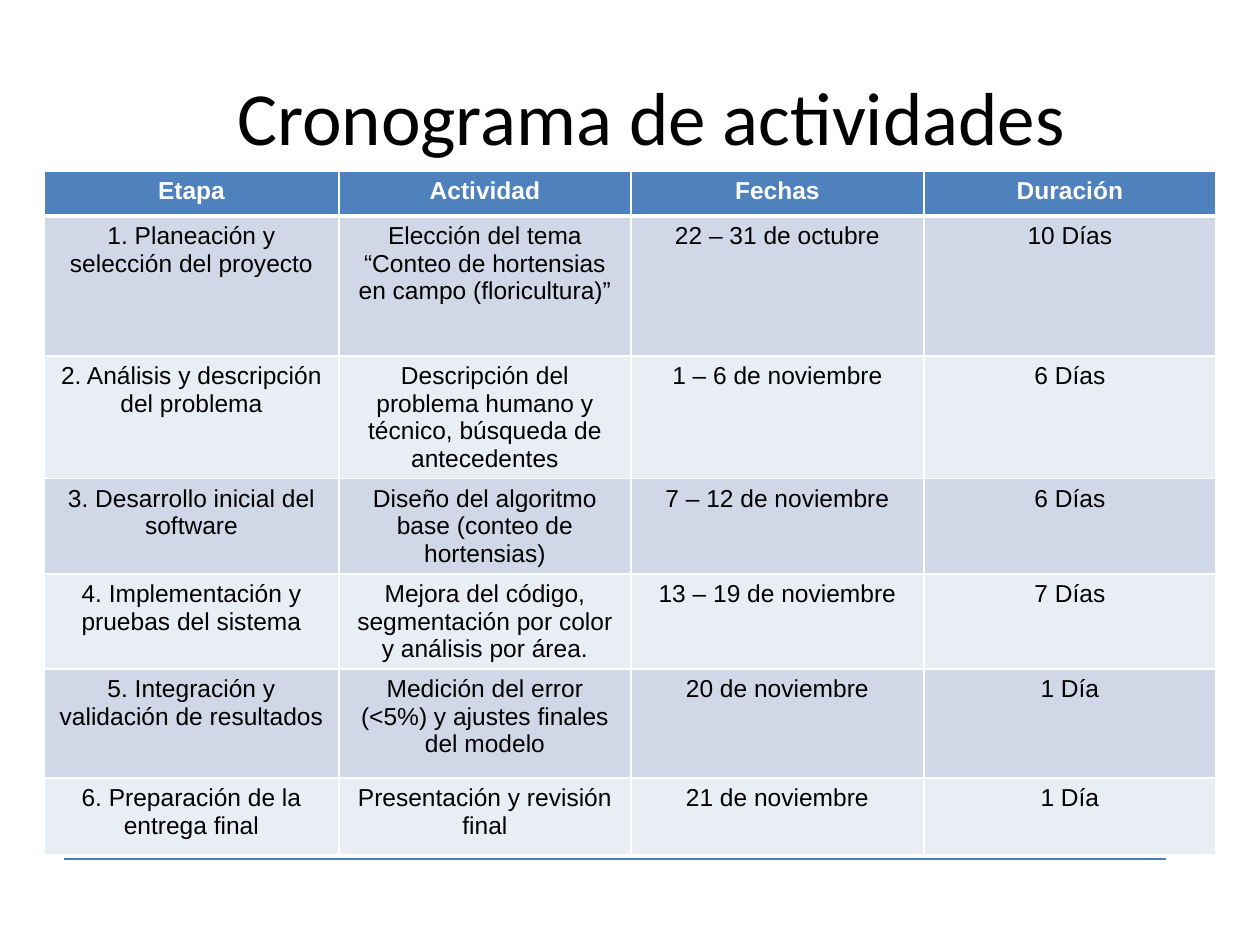
from lxml.etree import SubElement
from pptx import Presentation
from pptx.dml.color import RGBColor
from pptx.enum.shapes import MSO_CONNECTOR as Connector
from pptx.enum.text import MSO_ANCHOR as Anchor, PP_ALIGN as Align
from pptx.oxml.ns import qn
from pptx.util import Pt

EMU_PER_PX = 914400 / 126
ACTIVITIES = [
    ("Etapa", "Actividad", "Fechas", "Duración"),
    ("1. Planeación y selección del proyecto",
     "Elección del tema “Conteo de hortensias en campo (floricultura)”",
     "22 – 31 de octubre", "10 Días"),
    ("2. Análisis y descripción del problema",
     "Descripción del problema humano y técnico, búsqueda de antecedentes",
     "1 – 6 de noviembre", "6 Días"),
    ("3. Desarrollo inicial del software",
     "Diseño del algoritmo base (conteo de hortensias)",
     "7 – 12 de noviembre", "6 Días"),
    ("4. Implementación y pruebas del sistema",
     "Mejora del código, segmentación por color y análisis por área.",
     "13 – 19 de noviembre", "7 Días"),
    ("5. Integración y validación de resultados",
     "Medición del error (<5%) y ajustes finales del modelo",
     "20 de noviembre", "1 Día"),
    ("6. Preparación de la entrega final",
     "Presentación y revisión final",
     "21 de noviembre", "1 Día"),
]
COLUMN_WIDTHS = [295, 292, 293, 292]
ROW_HEIGHTS = [45, 140, 122, 95, 95, 109, 77]


def px(length):
    return round(length * EMU_PER_PX)


def color(value):
    return RGBColor.from_string(value)


class ScheduleSlide:
    HEADER = "4F81BD"
    BANDS = ("E9EDF4", "D0D8E8")
    WHITE = "FFFFFF"
    BLACK = "000000"
    RULE = "4A7DBA"

    def __init__(self, deck):
        self.slide = deck.slides.add_slide(deck.slide_layouts[5])

    def label(self, frame, text, font_name, size, ink, bold=False):
        frame.text = text
        paragraph = frame.paragraphs[0]
        paragraph.alignment = Align.CENTER
        font = paragraph.runs[0].font
        font.name, font.size, font.bold = font_name, Pt(size), bold
        font.color.rgb = color(ink)

    def title(self, text, left, top, width, height):
        heading = self.slide.shapes.title
        heading.left, heading.top = px(left), px(top)
        heading.width, heading.height = px(width), px(height)
        heading.text_frame.vertical_anchor = Anchor.MIDDLE
        self.label(heading.text_frame, text, "Calibri", 42.9, self.BLACK)

    def rule(self, left, right, y):
        divider = self.slide.shapes.add_connector(
            Connector.STRAIGHT, px(left), px(y), px(right), px(y))
        divider.line.color.rgb = color(self.RULE)
        divider.line.width = Pt(0.75)
        SubElement(divider.element.spPr, qn("a:effectLst"))

    def borders(self, cell, top, bottom):
        properties = cell._tc.get_or_add_tcPr()
        for side, weight in (("L", 1), ("R", 1), ("T", top), ("B", bottom)):
            edge = SubElement(properties, qn(f"a:ln{side}"), w=str(Pt(weight)))
            fill = SubElement(edge, qn("a:solidFill"))
            SubElement(fill, qn("a:srgbClr"), val=self.WHITE)

    def table(self, rows, left, top, widths, heights):
        schedule = self.slide.shapes.add_table(
            len(rows), len(widths), px(left), px(top),
            px(sum(widths)), px(sum(heights))).table
        for column, width in zip(schedule.columns, widths):
            column.width = px(width)
        for index, (row, height) in enumerate(zip(schedule.rows, heights)):
            row.height = px(height)
            is_header = index == 0
            for cell, text in zip(row.cells, rows[index]):
                self.borders(cell, 3 if index == 1 else 1, 3 if is_header else 1)
                cell.fill.solid()
                cell.fill.fore_color.rgb = color(
                    self.HEADER if is_header else self.BANDS[index % 2])
                self.label(cell.text_frame, text, "Arial", 14,
                           self.WHITE if is_header else self.BLACK, is_header)


def main():
    deck = Presentation()
    deck.slide_width, deck.slide_height = px(1260), px(945)
    page = ScheduleSlide(deck)
    page.rule(64, 1166, 859)
    page.title("Cronograma de actividades", 84, 37, 1134, 158)
    page.table(ACTIVITIES, 44, 171, COLUMN_WIDTHS, ROW_HEIGHTS)
    deck.save("out.pptx")


if __name__ == "__main__":
    main()
